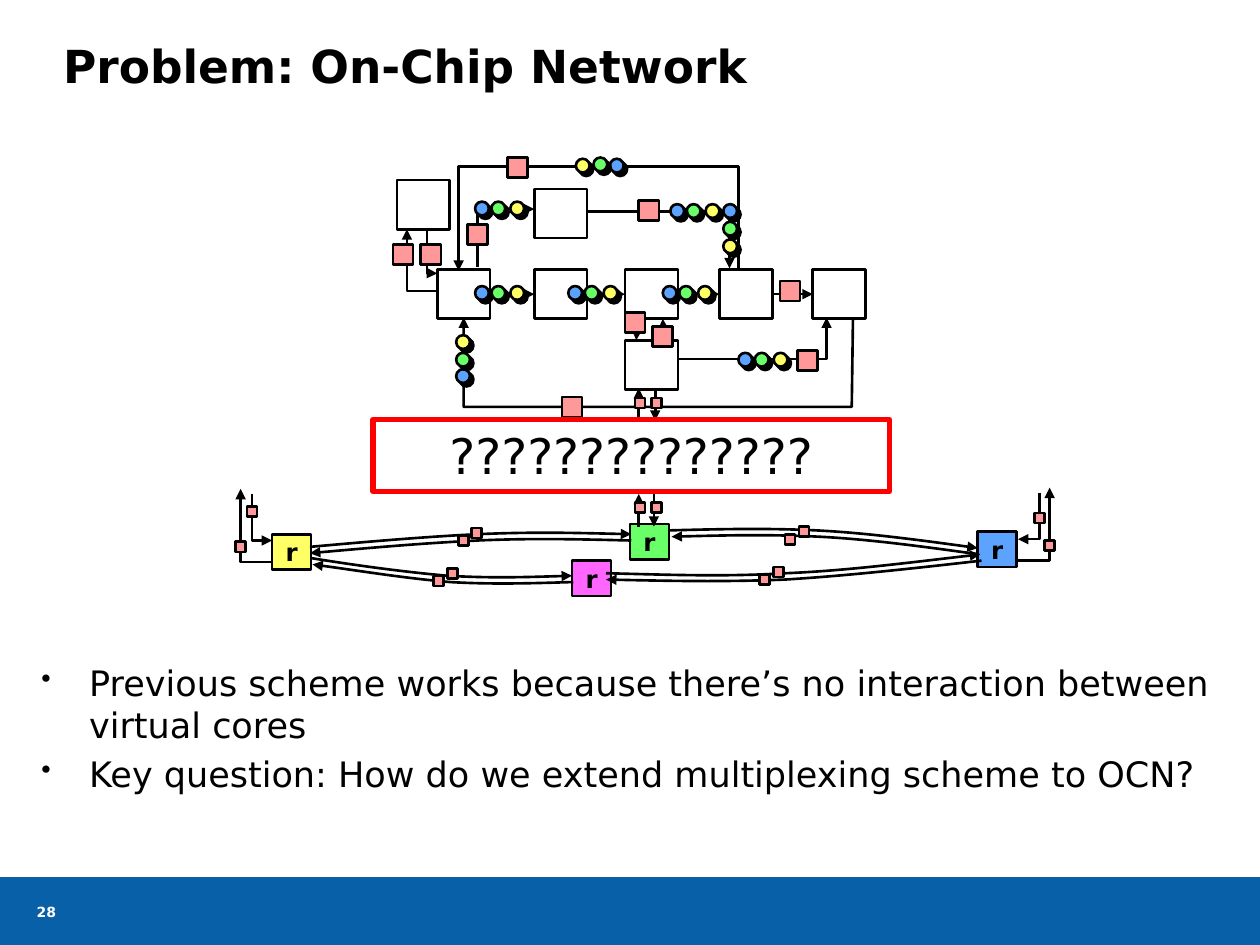
from itertools import pairwise

from lxml.etree import SubElement
from pptx import Presentation
from pptx.dml.color import RGBColor
from pptx.enum.shapes import MSO_CONNECTOR as Connector, MSO_SHAPE as Shape
from pptx.enum.text import MSO_ANCHOR as Anchor, MSO_AUTO_SIZE as AutoSize, PP_ALIGN as Align
from pptx.oxml.ns import qn
from pptx.util import Inches, Pt


class Theme:
    font = "DejaVu Sans"
    title, body, question, router, page = 26, 20, 28, 14, 8
    black, white, bar, red = "000000", "FFFFFF", "0860A8", "FF0000"
    yellow, green, blue, magenta, pink = "FFFF66", "68FF68", "5CA2FF", "FF66FF", "FF9999"
    thin, thick = 1.5, 3


def write_text(frame, text, size, color=Theme.black, bold=False, align=Align.LEFT,
               anchor=Anchor.TOP, wrap=True, inset=None, bullet=False):
    frame.word_wrap = wrap
    frame.vertical_anchor = anchor
    if inset is not None:
        frame.margin_left = frame.margin_right = Inches(inset)
        frame.margin_top = frame.margin_bottom = Inches(inset)
    for index, line in enumerate(text.split("\n")):
        paragraph = frame.add_paragraph() if index else frame.paragraphs[0]
        paragraph.alignment = align
        paragraph.space_before = Pt(size * 0.2 if index else 0)
        paragraph.add_run().text = line
        if bullet:
            properties = paragraph._p.get_or_add_pPr()
            properties.set("marL", str(Inches(0.38)))
            properties.set("indent", str(-Inches(0.38)))
            SubElement(properties, qn("a:buSzPct"), val="80000")
            SubElement(properties, qn("a:buChar"), char="•")
        for font in (paragraph.font, paragraph.runs[0].font):
            font.name, font.size, font.bold = Theme.font, Pt(size), bold
            font.color.rgb = RGBColor.from_string(color)


def set_outline(shape, color=Theme.black, width=Theme.thin, arrow=False):
    """Set the line and return an effect list that replaces the theme's shadow."""
    shape.line.color.rgb = RGBColor.from_string(color)
    shape.line.width = Pt(width)
    properties = shape._element.spPr
    if arrow:
        SubElement(properties.find(qn("a:ln")), qn("a:tailEnd"), type="triangle")
    return SubElement(properties, qn("a:effectLst"))


def add_box(left, top, width, height, fill=None, kind=Shape.RECTANGLE):
    shape = slide.shapes.add_shape(kind, Inches(left), Inches(top), Inches(width), Inches(height))
    if fill:
        shape.fill.solid()
        shape.fill.fore_color.rgb = RGBColor.from_string(fill)
    else:
        shape.fill.background()
    return shape


presentation = Presentation()
presentation.slide_width, presentation.slide_height = Inches(10), Inches(7.5)
slide = presentation.slides.add_slide(presentation.slide_layouts[5])

# Footer bar, title and page number
set_outline(add_box(0, 6.97, 10, 0.53, Theme.bar), Theme.bar)
title = slide.shapes.title
title.left, title.top, title.width, title.height = map(Inches, (0.5, 0.3, 9.01, 0.97))
write_text(title.text_frame, "Problem: On-Chip Network", Theme.title, bold=True, inset=0)
page = slide.shapes.add_textbox(Inches(0.29), Inches(7.07), Inches(0.45), Inches(0.33))
write_text(page.text_frame, "28", Theme.page, Theme.white, bold=True, anchor=Anchor.MIDDLE, inset=0)

# Bullets
bullets = slide.shapes.add_textbox(Inches(0.23), Inches(5.2), Inches(9.5), Inches(1.47))
write_text(bullets.text_frame,
           "Previous scheme works because there’s no interaction between virtual cores\n"
           "Key question: How do we extend multiplexing scheme to OCN?",
           Theme.body, bullet=True)

# Pipeline stages: the first five form the main row
stages = []
for left, top in [(3.47, 2.14), (4.24, 2.14), (4.96, 2.14), (5.71, 2.14), (6.45, 2.14),
                  (3.15, 1.43), (4.24, 1.5), (4.96, 2.7)]:
    stage = add_box(left, top, 0.42, 0.39, Theme.white)
    set_outline(stage)
    stages.append(stage)

for source, target in pairwise(stages[:5]):
    connector = slide.shapes.add_connector(Connector.STRAIGHT, 0, 0, 0, 0)
    connector.begin_connect(source, 3)
    connector.end_connect(target, 1)
    set_outline(connector, arrow=True)

# Routers
for left, top, color in [(2.16, 4.24, Theme.yellow), (5, 4.16, Theme.green),
                         (7.76, 4.22, Theme.blue), (4.54, 4.45, Theme.magenta)]:
    router = add_box(left, top, 0.31, 0.28, color)
    set_outline(router)
    write_text(router.text_frame, "r", Theme.router, bold=True, align=Align.CENTER,
               anchor=Anchor.MIDDLE, wrap=False)

# Short vertical arrows: stage to stage, then links to and from the network
for x1, y1, x2, y2 in [(5.06, 2.52, 5.05, 2.7), (5.27, 2.71, 5.26, 2.53),
                       (5.2, 3.08, 5.2, 3.34), (5.07, 3.34, 5.07, 3.08),
                       (5.19, 3.92, 5.19, 4.18), (5.07, 4.18, 5.07, 3.92)]:
    connector = slide.shapes.add_connector(
        Connector.STRAIGHT, Inches(x1), Inches(y1), Inches(x2), Inches(y2))
    set_outline(connector, arrow=True)

# Bent wires
bent_wires = [
    [(3.39, 1.82), (3.39, 2.17), (3.47, 2.17)],
    [(3.47, 2.31), (3.23, 2.31), (3.23, 1.82)],
    [(5.38, 2.85), (6.56, 2.85), (6.56, 2.52)],
    [(4.66, 1.68), (5.79, 1.68), (5.79, 2.13)],
    [(3.79, 2.12), (3.79, 1.66), (4.24, 1.66)],
    [(6.77, 2.52), (6.76, 3.23), (3.68, 3.23), (3.68, 2.52)],
    [(5.86, 2.15), (5.86, 1.32), (3.64, 1.32), (3.64, 2.15)],
    [(2.16, 4.46), (1.91, 4.46), (1.91, 3.88)],
    [(2, 3.92), (2, 4.29), (2.16, 4.29)],
    [(8.08, 4.45), (8.33, 4.45), (8.33, 3.87)],
    [(8.25, 3.91), (8.25, 4.28), (8.08, 4.28)],
]
# Curved ring links: a start point, then two cubic segments of three points
ring_links = [
    [(2.46, 4.34), (2.91, 4.3), (3.37, 4.26), (3.79, 4.24), (4.22, 4.22), (4.61, 4.23), (5.01, 4.24)],
    [(2.47, 4.43), (2.84, 4.49), (3.21, 4.54), (3.55, 4.57), (3.9, 4.59), (4.22, 4.58), (4.54, 4.57)],
    [(5.01, 4.29), (4.61, 4.28), (4.22, 4.27), (3.79, 4.29), (3.37, 4.31), (2.91, 4.35), (2.46, 4.39)],
    [(4.55, 4.62), (4.23, 4.63), (3.91, 4.64), (3.57, 4.62), (3.22, 4.59), (2.85, 4.53), (2.48, 4.48)],
    [(7.77, 4.4), (7.34, 4.34), (6.9, 4.28), (6.5, 4.26), (6.09, 4.24), (5.71, 4.25), (5.33, 4.26)],
    [(7.79, 4.45), (7.26, 4.51), (6.73, 4.57), (6.23, 4.6), (5.73, 4.62), (5.27, 4.61), (4.81, 4.6)],
    [(4.81, 4.55), (5.27, 4.56), (5.73, 4.58), (6.23, 4.55), (6.72, 4.53), (7.25, 4.46), (7.78, 4.4)],
    [(5.31, 4.21), (5.69, 4.2), (6.07, 4.19), (6.48, 4.21), (6.88, 4.23), (7.32, 4.29), (7.76, 4.35)],
]
for points in bent_wires + ring_links:
    start, *rest = [(Inches(x), Inches(y)) for x, y in points]
    builder = slide.shapes.build_freeform(*start)
    builder.add_line_segments(rest, close=False)
    wire = builder.convert_to_shape()
    wire.fill.background()
    set_outline(wire, arrow=True)
    if points in ring_links:
        # Turn every three line steps into one cubic curve
        steps = list(wire._element.iter(qn("a:lnTo")))
        outline = steps[0].getparent()
        for first in range(0, len(steps), 3):
            curve = SubElement(outline, qn("a:cubicBezTo"))
            for step in steps[first:first + 3]:
                curve.append(step[0])
                outline.remove(step)

# Tokens in threes, each with a hard shadow
cool_first = (Theme.blue, Theme.green, Theme.yellow)
warm_first = cool_first[::-1]
across = [(0, 0), (0.13, 0), (0.28, 0)]
down = [(0, 0), (0, 0.14), (0, 0.27)]
for left, top, offsets, colors in [
    (3.62, 2.66, down, warm_first),
    (3.77, 2.27, across, cool_first), (4.51, 2.27, across, cool_first),
    (5.26, 2.27, across, cool_first), (5.86, 2.8, across, cool_first),
    (5.32, 1.62, across, cool_first), (3.77, 1.6, across, cool_first),
    (4.57, 1.26, [(0, 0), (0.14, -0.01), (0.27, 0)], warm_first),
    (5.74, 1.62, [(0, 0), (0, 0.14), (0, 0.28)], cool_first),
]:
    for (dx, dy), color in reversed(list(zip(offsets, colors))):
        token = add_box(left + dx, top + dy, 0.11, 0.11, color, Shape.OVAL)
        shadow = SubElement(set_outline(token), qn("a:outerShdw"), blurRad="0",
                            dist=str(Pt(2.8)), dir="2700000", algn="ctr", rotWithShape="0")
        SubElement(shadow, qn("a:srgbClr"), val=Theme.black)

# Registers on the pipeline wires and smaller ones on the network links
registers = [(4.46, 3.15), (6.33, 2.78), (3.71, 1.78), (4.03, 1.25), (5.07, 1.59), (3.12, 1.94),
             (3.34, 1.94), (4.96, 2.48), (5.18, 2.59), (6.19, 2.23)]
link_registers = [(1.87, 4.3), (1.96, 4.02), (8.29, 4.29), (8.21, 4.07),
                  (3.74, 4.19), (3.64, 4.25), (3.55, 4.51), (3.44, 4.57),
                  (6.03, 4.56), (6.14, 4.5), (6.23, 4.24), (6.34, 4.18),
                  (5.17, 3.16), (5.04, 3.16), (5.17, 3.99), (5.04, 3.99)]
for size, places in [(0.16, registers), (0.08, link_registers)]:
    for left, top in places:
        set_outline(add_box(left, top, size, size, Theme.pink))

# Unknown network
network = add_box(2.96, 3.33, 4.1, 0.57)
set_outline(network, Theme.red, Theme.thick)
write_text(network.text_frame, "??????????????", Theme.question, align=Align.CENTER)
network.text_frame.auto_size = AutoSize.SHAPE_TO_FIT_TEXT

presentation.save("out.pptx")
